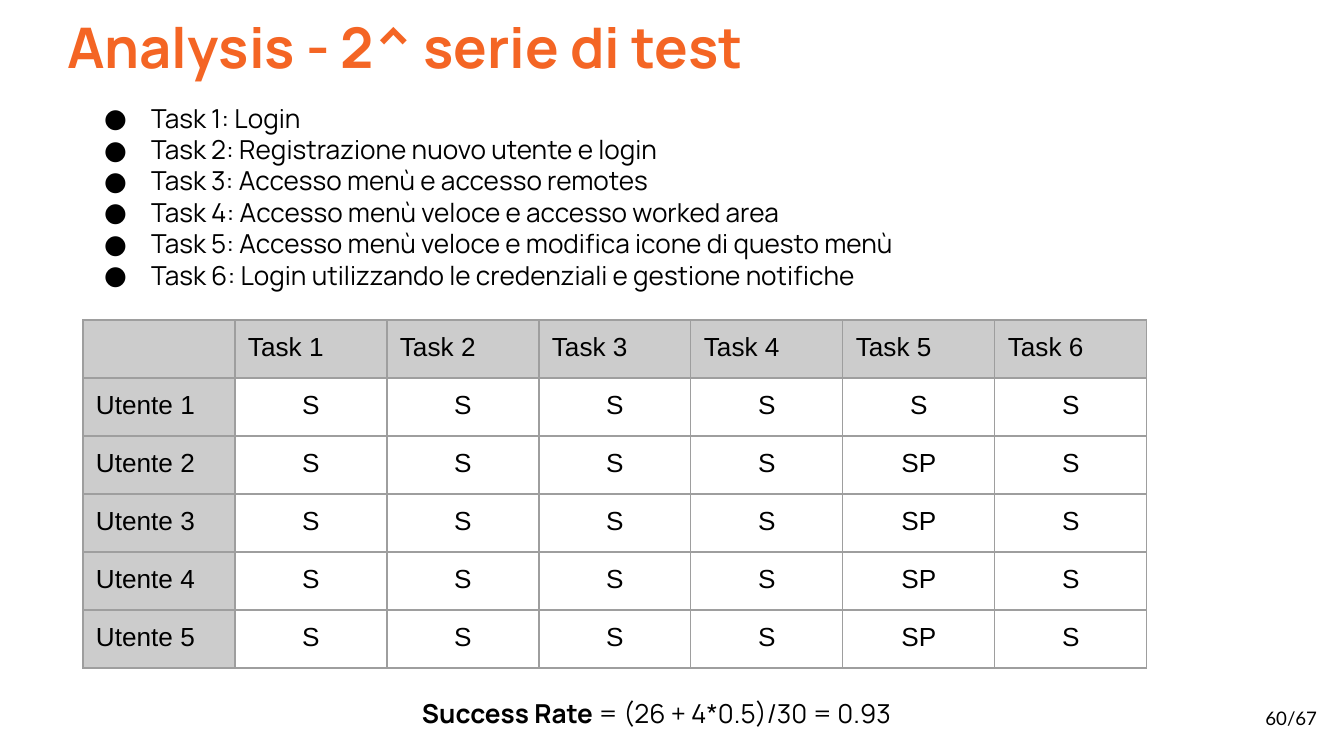
import pptx
import pptx.dml.color
import pptx.enum.text
import pptx.oxml.ns
import pptx.util
from lxml import etree

EMU_PER_PX = 914400 / 134.4
INSET = 13
THEME = {
    "title": {"name": "Manrope", "size": 30, "bold": True, "color": "F46524"},
    "text": {"name": "Manrope", "size": 14, "bold": False, "color": "000000"},
    "strong": {"name": "Manrope", "size": 14, "bold": True, "color": "000000"},
    "table": {"name": "Arial", "size": 14, "bold": False, "color": "000000"},
    "page": {"name": "Lato", "size": 10, "bold": False, "color": "000000"},
    "header_fill": "CCCCCC",
    "border": "9E9E9E",
}
ALIGN = pptx.enum.text.PP_ALIGN
ANCHOR = pptx.enum.text.MSO_ANCHOR
AUTO_SIZE = pptx.enum.text.MSO_AUTO_SIZE
qn = pptx.oxml.ns.qn


def px(length):
    return pptx.util.Emu(round(length * EMU_PER_PX))


def write(paragraph, text, style, align=ALIGN.LEFT):
    paragraph.alignment = align
    run = paragraph.add_run()
    run.text = text
    values = {
        "name": style["name"],
        "size": pptx.util.Pt(style["size"]),
        "bold": style["bold"],
    }
    for attribute, value in values.items():
        setattr(run.font, attribute, value)
    run.font.color.rgb = pptx.dml.color.RGBColor.from_string(style["color"])


presentation = pptx.Presentation()
presentation.slide_width = px(1344)
presentation.slide_height = px(756)
slide = presentation.slides.add_slide(presentation.slide_layouts[1])

heading = slide.shapes.title
tasks = slide.placeholders[1]
success_rate = slide.shapes.add_textbox(0, 0, 0, 0)
page_number = slide.shapes.add_textbox(0, 0, 0, 0)

for part, box, anchor, auto_size in [
    (heading, (54, 0, 1236, 94), ANCHOR.TOP, AUTO_SIZE.NONE),
    (tasks, (71, 89, 1090, 218), ANCHOR.TOP, AUTO_SIZE.SHAPE_TO_FIT_TEXT),
    (success_rate, (409, 684, 527, 59), ANCHOR.TOP, AUTO_SIZE.SHAPE_TO_FIT_TEXT),
    (page_number, (1249, 689, 81, 58), ANCHOR.MIDDLE, AUTO_SIZE.NONE),
]:
    for attribute, length in zip(("left", "top", "width", "height"), box):
        setattr(part, attribute, px(length))
    frame_format = {
        "word_wrap": True,
        "auto_size": auto_size,
        "vertical_anchor": anchor,
        "margin_left": px(INSET),
        "margin_right": px(INSET),
        "margin_top": px(INSET),
        "margin_bottom": px(INSET),
    }
    for attribute, value in frame_format.items():
        setattr(part.text_frame, attribute, value)

write(heading.text_frame.paragraphs[0], "Analysis - 2^ serie di test", THEME["title"])

descriptions = [
    "Login",
    "Registrazione nuovo utente e login",
    "Accesso menù e accesso remotes",
    "Accesso menù veloce e accesso worked area",
    "Accesso menù veloce e modifica icone di questo menù",
    "Login utilizzando le credenziali e gestione notifiche",
]
for number, description in enumerate(descriptions, 1):
    frame = tasks.text_frame
    task = frame.paragraphs[0] if number == 1 else frame.add_paragraph()
    task.space_before = pptx.util.Pt(0)
    properties = task._p.get_or_add_pPr()
    properties.set("marL", str(px(67)))
    properties.set("indent", str(px(-47)))
    bullet_color = etree.SubElement(properties, qn("a:buClr"))
    etree.SubElement(bullet_color, qn("a:srgbClr"), val=THEME["text"]["color"])
    etree.SubElement(properties, qn("a:buFont"), typeface=THEME["text"]["name"])
    etree.SubElement(properties, qn("a:buChar"), char="●")
    write(task, f"Task {number}: {description}", THEME["text"])

task_headers = [f"Task {number}" for number in range(1, 7)]
outcomes = [["S"] * 6] + [["S"] * 4 + ["SP", "S"] for _ in range(4)]
results = [[""] + task_headers]
results += [[f"Utente {number}"] + row for number, row in enumerate(outcomes, 1)]

grid = slide.shapes.add_table(6, 7, px(83), px(320), px(7 * 152), px(6 * 58)).table
grid.first_row = False
grid.horz_banding = False
for column in grid.columns:
    column.width = px(152)
for row_index, row in enumerate(results):
    grid.rows[row_index].height = px(58)
    for column_index, result in enumerate(row):
        cell = grid.cell(row_index, column_index)
        for side in ("left", "right", "top", "bottom"):
            setattr(cell, f"margin_{side}", px(INSET))
        cell_properties = cell._tc.get_or_add_tcPr()
        for edge in ("a:lnL", "a:lnR", "a:lnT", "a:lnB"):
            line = etree.SubElement(cell_properties, qn(edge), w=str(pptx.util.Pt(0.75)))
            line_fill = etree.SubElement(line, qn("a:solidFill"))
            etree.SubElement(line_fill, qn("a:srgbClr"), val=THEME["border"])
        is_header = row_index == 0 or column_index == 0
        if is_header:
            cell.fill.solid()
            cell.fill.fore_color.rgb = pptx.dml.color.RGBColor.from_string(THEME["header_fill"])
        else:
            cell.fill.background()
        paragraph = cell.text_frame.paragraphs[0]
        if result:
            write(paragraph, result, THEME["table"], ALIGN.LEFT if is_header else ALIGN.CENTER)
        else:
            size = str(THEME["table"]["size"] * 100)
            etree.SubElement(paragraph._p, qn("a:endParaRPr"), sz=size)

formula = success_rate.text_frame.paragraphs[0]
write(formula, "Success Rate", THEME["strong"])
write(formula, " = (26 + 4*0.5)/30 = 0.93", THEME["text"])
write(page_number.text_frame.paragraphs[0], "60/67", THEME["page"], ALIGN.RIGHT)

presentation.save("out.pptx")
